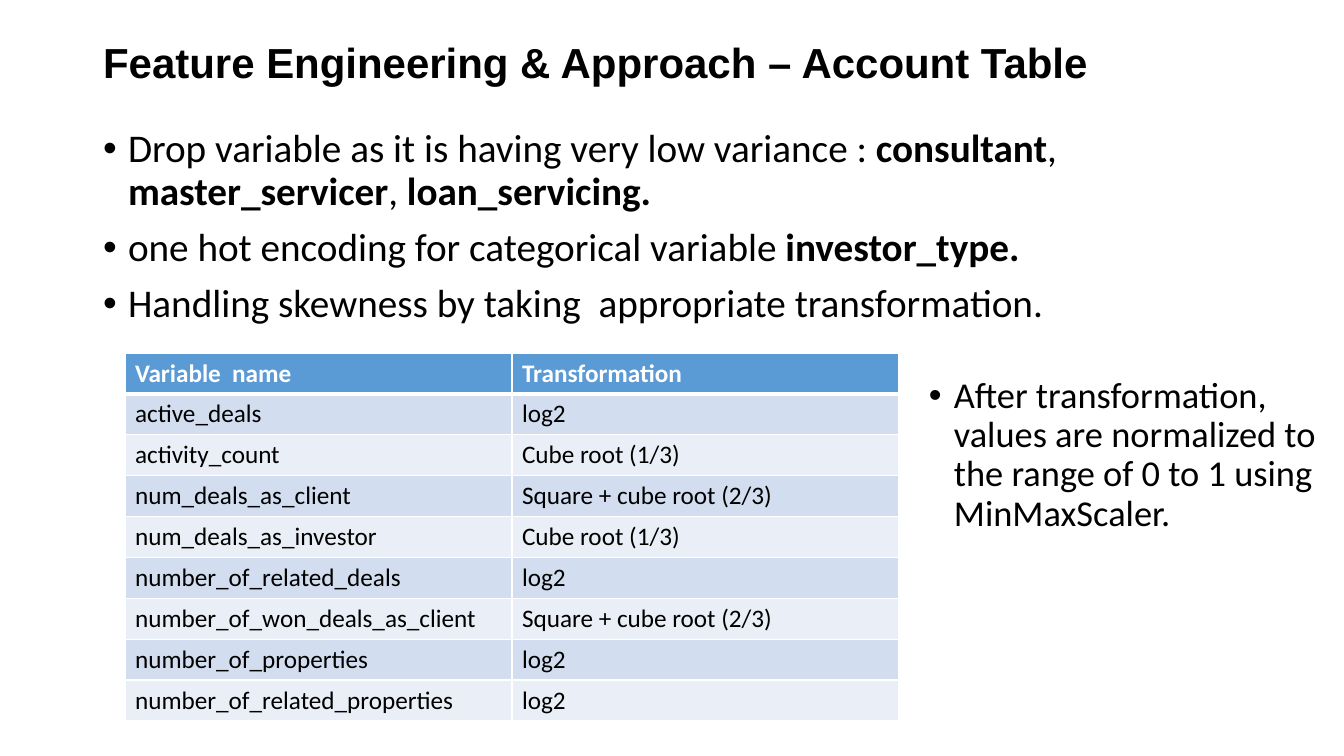
"""Build the account-table feature engineering slide."""
from dataclasses import dataclass

from lxml import etree
from pptx import Presentation
from pptx.dml.color import RGBColor
from pptx.enum.text import MSO_ANCHOR, MSO_AUTO_SIZE, PP_ALIGN
from pptx.oxml.ns import qn
from pptx.util import Emu, Pt

LEFT = PP_ALIGN.LEFT
MIDDLE, TOP = MSO_ANCHOR.MIDDLE, MSO_ANCHOR.TOP
NO_AUTOFIT = MSO_AUTO_SIZE.NONE
EMU_PER_PX = 914400 / 100.8


@dataclass(frozen=True)
class Theme:
    ink: str = "000000"
    white: str = "FFFFFF"
    header: str = "5B9BD5"
    bands: tuple = ("D2DEEF", "EAEFF7")
    heading_font: str = "Arial"
    body_font: str = "Calibri"
    heading_size: int = 30
    body_size: int = 28
    aside_size: int = 26
    table_size: int = 18


THEME = Theme()


def px(length):
    return Emu(round(length * EMU_PER_PX))


def add_run(paragraph, text, size, bold=False, color=THEME.ink, font=THEME.body_font):
    run = paragraph.add_run()
    run.text = text
    run.font.name = font
    run.font.size = Pt(size)
    run.font.bold = bold
    run.font.color.rgb = RGBColor.from_string(color)


deck = Presentation()
deck.slide_width, deck.slide_height = px(1344), px(756)
slide = deck.slides.add_slide(deck.slide_layouts[1])

heading = slide.shapes.title
heading.left, heading.top, heading.width, heading.height = px(93), px(23), px(1159), px(84)
heading.text_frame.vertical_anchor = MIDDLE
heading.text_frame.auto_size = NO_AUTOFIT
heading_line = heading.text_frame.paragraphs[0]
heading_line.alignment = LEFT
heading_line.line_spacing = 0.9
add_run(heading_line, "Feature Engineering & Approach – Account Table",
        THEME.heading_size, True, font=THEME.heading_font)

steps = slide.placeholders[1]
steps.left, steps.top, steps.width, steps.height = px(93), px(124), px(1159), px(210)
scaling_note = slide.shapes.add_textbox(px(919), px(372), px(425), px(181))

step_points = [
    [("Drop variable as it is having very low variance : ", False),
     ("consultant", True), (", ", False), ("master_servicer", True),
     (", ", False), ("loan_servicing.", True)],
    [("one hot encoding for categorical variable ", False), ("investor_type.", True)],
    [("Handling skewness by taking  appropriate transformation.", False)],
]
scaling_points = [
    [("After transformation, values are normalized to the range of 0 to 1 "
      "using MinMaxScaler.", False)],
]
for holder, points, size in ((steps, step_points, THEME.body_size),
                             (scaling_note, scaling_points, THEME.aside_size)):
    frame = holder.text_frame
    frame.word_wrap = True
    frame.auto_size = NO_AUTOFIT
    frame.vertical_anchor = TOP
    for index, point in enumerate(points):
        paragraph = frame.add_paragraph() if index else frame.paragraphs[0]
        paragraph.alignment = LEFT
        paragraph.line_spacing = 0.9
        paragraph.space_before = Pt(10)
        properties = paragraph._p.get_or_add_pPr()
        properties.set("marL", str(px(25)))
        properties.set("indent", str(-px(25)))
        etree.SubElement(properties, qn("a:buFont"), typeface=THEME.heading_font)
        etree.SubElement(properties, qn("a:buChar"), char="•")
        for text, bold in point:
            add_run(paragraph, text, size, bold)

transformations = [
    ("Variable  name", "Transformation"),
    ("active_deals", "log2"),
    ("activity_count", "Cube root (1/3)"),
    ("num_deals_as_client", "Square + cube root (2/3)"),
    ("num_deals_as_investor", "Cube root (1/3)"),
    ("number_of_related_deals", "log2"),
    ("number_of_won_deals_as_client", "Square + cube root (2/3)"),
    ("number_of_properties", "log2"),
    ("number_of_related_properties", "log2"),
]
row_count = len(transformations)
table = slide.shapes.add_table(row_count, 2, px(125), px(353), px(774), px(40 * row_count)).table
for row, entries in enumerate(transformations):
    is_header = row == 0
    fill = THEME.header if is_header else THEME.bands[(row - 1) % 2]
    widths = {"lnL": 1, "lnR": 1, "lnT": 3 if row == 1 else 1, "lnB": 3 if is_header else 1}
    for column, text in enumerate(entries):
        cell = table.cell(row, column)
        add_run(cell.text_frame.paragraphs[0], text, THEME.table_size, is_header,
                THEME.white if is_header else THEME.ink)
        cell_properties = cell._tc.get_or_add_tcPr()
        for side, width in widths.items():
            border = etree.SubElement(cell_properties, qn(f"a:{side}"), w=str(Pt(width)))
            border_fill = etree.SubElement(border, qn("a:solidFill"))
            etree.SubElement(border_fill, qn("a:srgbClr"), val=THEME.white)
        cell.fill.solid()
        cell.fill.fore_color.rgb = RGBColor.from_string(fill)

deck.save("out.pptx")
